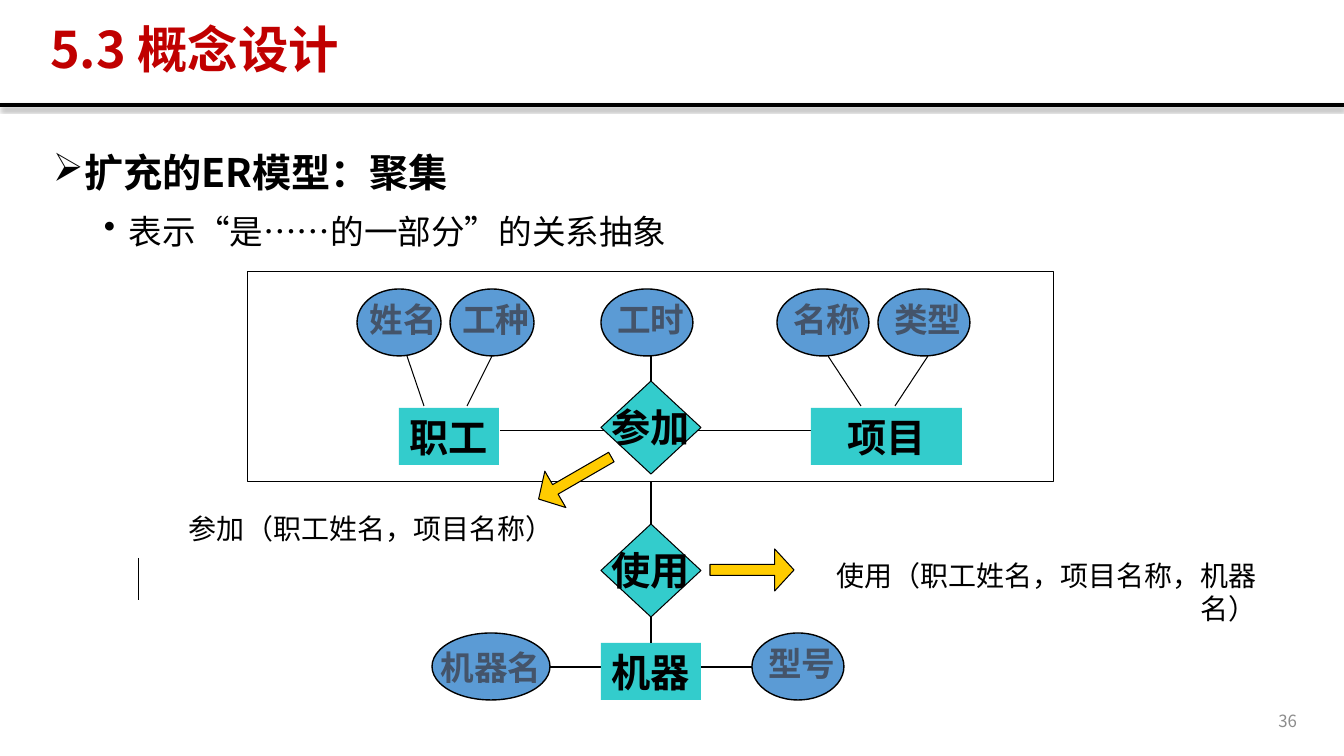
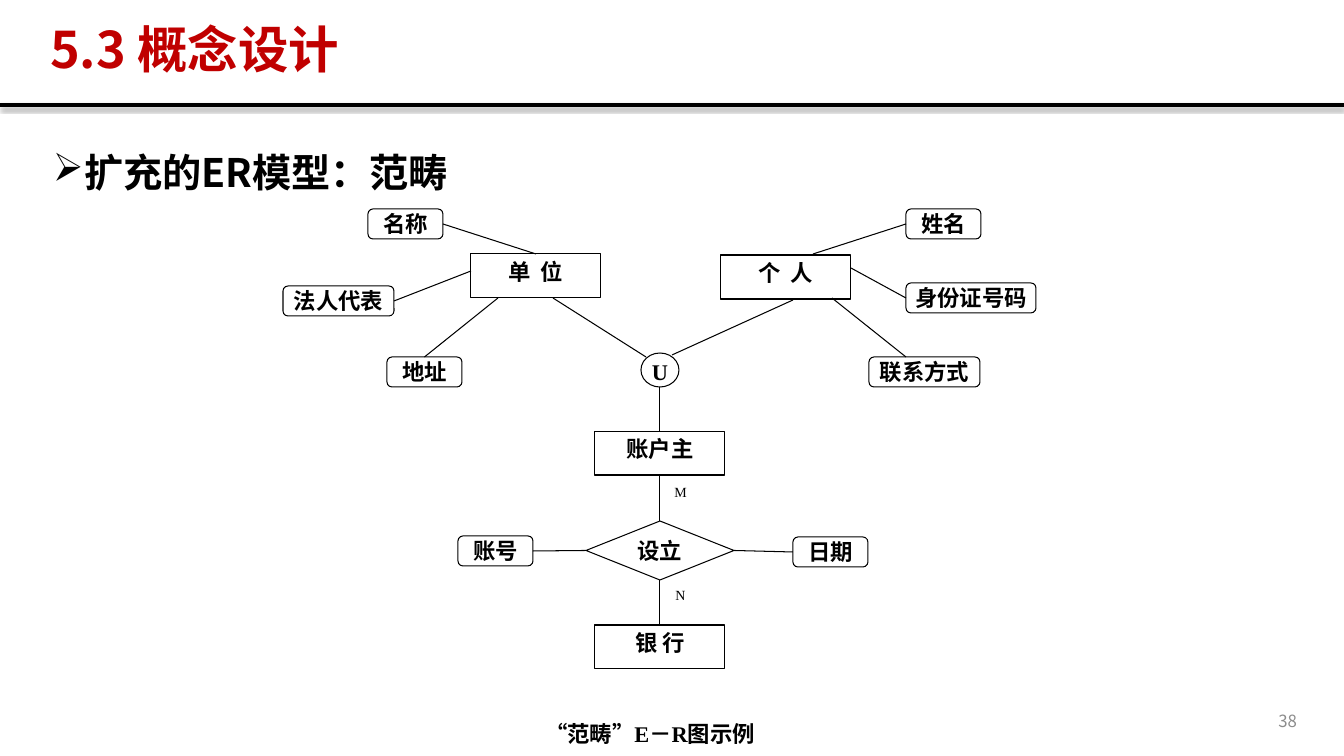
from lxml.etree import SubElement
from pptx import Presentation
from pptx.dml.color import RGBColor
from pptx.enum.shapes import MSO_CONNECTOR, MSO_SHAPE as SHAPE
from pptx.enum.text import MSO_ANCHOR as ANCHOR, PP_ALIGN as ALIGN
from pptx.oxml.ns import qn
from pptx.util import Emu, Pt

WIDTH, HEIGHT = 1344, 756
SCALE = 12192000 / WIDTH
SANS, SERIF = "Noto Sans CJK SC", "Times New Roman"
BLACK, WHITE, RED, GRAY, SLATE = "000000", "FFFFFF", "C00000", "8C8C8C", "44546A"
TEAL, BLUE, YELLOW = "33CCCC", "5B9BD5", "FFCC00"
TOP, LEFT, BOTTOM, RIGHT = range(4)


def px(length):
    return Emu(round(length * SCALE))


def color(value):
    return RGBColor.from_string(value)


class Deck:
    def __init__(self):
        self.deck = Presentation()
        self.deck.slide_width, self.deck.slide_height = px(WIDTH), px(HEIGHT)
        self.page = None

    def new_page(self, number, heading):
        """Start a slide with the rule, title, number and heading; return the body box."""
        self.page = self.deck.slides.add_slide(self.deck.slide_layouts[6])
        self.rule()
        title = self.text_box(40, 19, 1179, 66)
        self.add_text(title, "5.3 概念设计", 36, RED, bold=True, align=ALIGN.JUSTIFY, spacing=0.9)
        body = self.text_box(43, 134, 1263, 546, anchor=ANCHOR.TOP)
        self.bullet(body, "➢", heading, 28, 25, bold=True)
        footer = self.text_box(1005, 701, 302, 40)
        self.add_text(footer, str(number), 12, GRAY, align=ALIGN.RIGHT)
        return body

    def rule(self):
        effects = self.line((0, 105), (WIDTH, 105), 3)
        shadow = SubElement(effects, qn("a:outerShdw"), blurRad="39000", dist="23000",
                            dir="5400000", rotWithShape="0")
        tone = SubElement(shadow, qn("a:srgbClr"), val=BLACK)
        SubElement(tone, qn("a:alpha"), val="35000")

    def line(self, start, end, width=0.75):
        """Join two ends, each (x, y) or (shape, side); return the effect list."""
        joined = [not isinstance(point[0], int) for point in (start, end)]
        x1, y1 = (0, 0) if joined[0] else start
        x2, y2 = (0, 0) if joined[1] else end
        link = self.page.shapes.add_connector(
            MSO_CONNECTOR.STRAIGHT, px(x1), px(y1), px(x2), px(y2))
        if joined[0]:
            link.begin_connect(*start)
        if joined[1]:
            link.end_connect(*end)
        link.line.color.rgb = color(BLACK)
        link.line.width = Pt(width)
        return SubElement(link.element.spPr, qn("a:effectLst"))

    def shape(self, kind, left, top, width, height, fill=None, outline=0.75):
        shape = self.page.shapes.add_shape(kind, px(left), px(top), px(width), px(height))
        shape.shadow.inherit = False
        if fill:
            shape.fill.solid()
            shape.fill.fore_color.rgb = color(fill)
        else:
            shape.fill.background()
        if outline:
            shape.line.color.rgb = color(BLACK)
            shape.line.width = Pt(outline)
        else:
            shape.line.fill.background()
        return shape

    def text_box(self, left, top, width, height, anchor=ANCHOR.MIDDLE, inset=(10, 5)):
        box = self.page.shapes.add_textbox(px(left), px(top), px(width), px(height))
        self.frame(box, anchor, inset)
        return box

    def frame(self, box, anchor, inset):
        frame = box.text_frame
        frame.word_wrap = True
        frame.vertical_anchor = anchor
        frame.margin_left = frame.margin_right = px(inset[0])
        frame.margin_top = frame.margin_bottom = px(inset[1])

    def add_text(self, box, text, size, tone=BLACK, font=SANS, bold=False,
                 align=ALIGN.CENTER, spacing=None):
        """Put text in the box's first paragraph, or in a new one if that is taken."""
        para = box.text_frame.paragraphs[0]
        if para.runs:
            para = box.text_frame.add_paragraph()
        para.alignment = align
        if spacing:
            para.line_spacing = spacing
        span = para.add_run()
        span.text = text
        span.font.size = Pt(size)
        span.font.bold = bold
        span.font.color.rgb = color(tone)
        span.font.name = font
        SubElement(span.font._element, qn("a:ea"), typeface=SANS)
        return para

    def indent(self, para, margin, hanging):
        properties = para._p.get_or_add_pPr()
        properties.set("marL", str(px(margin)))
        properties.set("indent", str(-px(hanging)))
        return properties

    def bullet(self, box, mark, text, size, margin, bold=False):
        para = self.add_text(box, text, size, bold=bold, align=ALIGN.JUSTIFY, spacing=1.2)
        SubElement(self.indent(para, margin, 25), qn("a:buChar"), char=mark)
        return para

    def entity(self, text, left, top, width=100):
        box = self.shape(SHAPE.RECTANGLE, left, top, width, 57, TEAL, outline=0)
        self.frame(box, ANCHOR.MIDDLE, (0, 0))
        self.add_text(box, text, 28, bold=True)
        return box

    def relation(self, text, left, top):
        diamond = self.shape(SHAPE.DIAMOND, left, top, 100, 93, TEAL)
        label = self.text_box(left, top + 17, 100, 57, inset=(0, 0))
        self.add_text(label, text, 28, bold=True)
        return diamond

    def attribute(self, text, left, top, width, shift=(4, -4)):
        """Draw an ellipse whose label lies off its centre by shift."""
        self.shape(SHAPE.OVAL, left, top, width, 67, BLUE, outline=1)
        label = self.text_box(left + shift[0], top + 9 + shift[1], width, 50, inset=(0, 0))
        self.add_text(label, text, 24, SLATE, bold=True)

    def arrow(self, left, top, turn=0):
        arrow = self.shape(SHAPE.RIGHT_ARROW, left, top, 84, 42, YELLOW)
        arrow.adjustments[0], arrow.adjustments[1] = 0.26, 0.46
        arrow.rotation = turn

    def schema(self, text, left, top, width, height, align):
        box = self.text_box(left, top, width, height, anchor=ANCHOR.TOP)
        self.indent(self.add_text(box, text, 20, align=align), 82, 31)

    def node(self, text, kind, left, top, width, height, inset=(0, 0), size=16,
             bold=True, outline=0.75):
        box = self.shape(kind, left, top, width, height, WHITE, outline)
        self.frame(box, ANCHOR.TOP, inset)
        self.add_text(box, text, size, font=SERIF, bold=bold)
        return box

    def block(self, text, left, top):
        return self.node(text, SHAPE.RECTANGLE, left, top, 130, 44, (10, 4))

    def field(self, text, left, top, width=75):
        return self.node(text, SHAPE.ROUNDED_RECTANGLE, left, top, width, 30)

    def note(self, text, left, top, width, size=10, bold=False):
        self.node(text, SHAPE.RECTANGLE, left, top, width, 36, size=size,
                  bold=bold, outline=0)


def aggregation(deck):
    body = deck.new_page(36, "扩充的ER模型：聚集")
    detail = deck.bullet(body, "•", "表示“是……的一部分”的关系抽象", 24, 76)
    detail.space_before = Pt(5)

    for start, end in [
        ((500, 431), (618, 431)), ((694, 431), (811, 431)),
        ((424, 406), (407, 356)), ((467, 406), (492, 356)),
        ((861, 406), (828, 356)), ((895, 406), (928, 356)),
        ((601, 667), (550, 667)), ((752, 667), (701, 667)),
        ((139, 558), (139, 600)),
    ]:
        deck.line(start, end)

    frame = deck.shape(SHAPE.RECTANGLE, 248, 272, 806, 210)
    deck.entity("职工", 399, 408)
    deck.entity("项目", 811, 408, 151)
    machine = deck.entity("机器", 601, 643)
    joins = deck.relation("参加", 601, 381)
    uses = deck.relation("使用", 601, 524)
    for text, left, width in [("姓名", 357, 84), ("工种", 450, 84), ("工时", 601, 92),
                              ("名称", 777, 92), ("类型", 878, 92)]:
        deck.attribute(text, left, 289, width)
    deck.attribute("机器名", 432, 633, 118, shift=(0, 0))
    deck.attribute("型号", 752, 633, 92)

    deck.line((651, 356), (joins, TOP))
    deck.line((frame, BOTTOM), (uses, TOP))
    deck.line((uses, BOTTOM), (machine, TOP))
    deck.arrow(710, 549)
    deck.arrow(533, 457, 150)
    deck.schema("使用（职工姓名，项目名称，机器名）", 744, 553, 523, 109, ALIGN.RIGHT)
    deck.schema("参加（职工姓名，项目名称）", 128, 507, 521, 50, ALIGN.LEFT)


def category(deck):
    deck.new_page(38, "扩充的ER模型：范畴")
    unit = deck.block("单  位", 471, 254)
    person = deck.block("个  人", 721, 255)
    holder = deck.block("账户主", 595, 431)
    bank = deck.block("银 行", 595, 625)
    deck.node("U", SHAPE.OVAL, 641, 353, 38, 34)
    opens = deck.node("设立", SHAPE.DIAMOND, 586, 521, 148, 59, (10, 1))
    name = deck.field("名称", 368, 209)
    agent = deck.field("法人代表", 283, 286, 111)
    address = deck.field("地址", 387, 357)
    full_name = deck.field("姓名", 906, 209)
    identity = deck.field("身份证号码", 906, 283, 130)
    deck.field("联系方式", 869, 357, 111)
    account = deck.field("账号", 458, 536)
    date = deck.field("日期", 793, 537)
    deck.note("M", 668, 483, 25)
    deck.note("N", 668, 587, 25)
    deck.note("“范畴”E－R图示例", 432, 720, 436, 16, True)

    for start, end in [
        ((553, 298), (646, 357)), ((793, 300), (672, 355)),
        ((660, 387), (holder, TOP)), ((holder, BOTTOM), (opens, TOP)),
        ((opens, BOTTOM), (bank, TOP)), ((account, RIGHT), (opens, LEFT)),
        ((opens, RIGHT), (date, LEFT)), ((name, RIGHT), (unit, TOP)),
        ((agent, RIGHT), (471, 271)), ((498, 298), (address, TOP)),
        ((full_name, LEFT), (813, 254)), ((851, 268), (identity, LEFT)),
        ((832, 298), (906, 357)),
    ]:
        deck.line(start, end)


def main():
    deck = Deck()
    aggregation(deck)
    category(deck)
    deck.deck.save("out.pptx")


if __name__ == "__main__":
    main()
